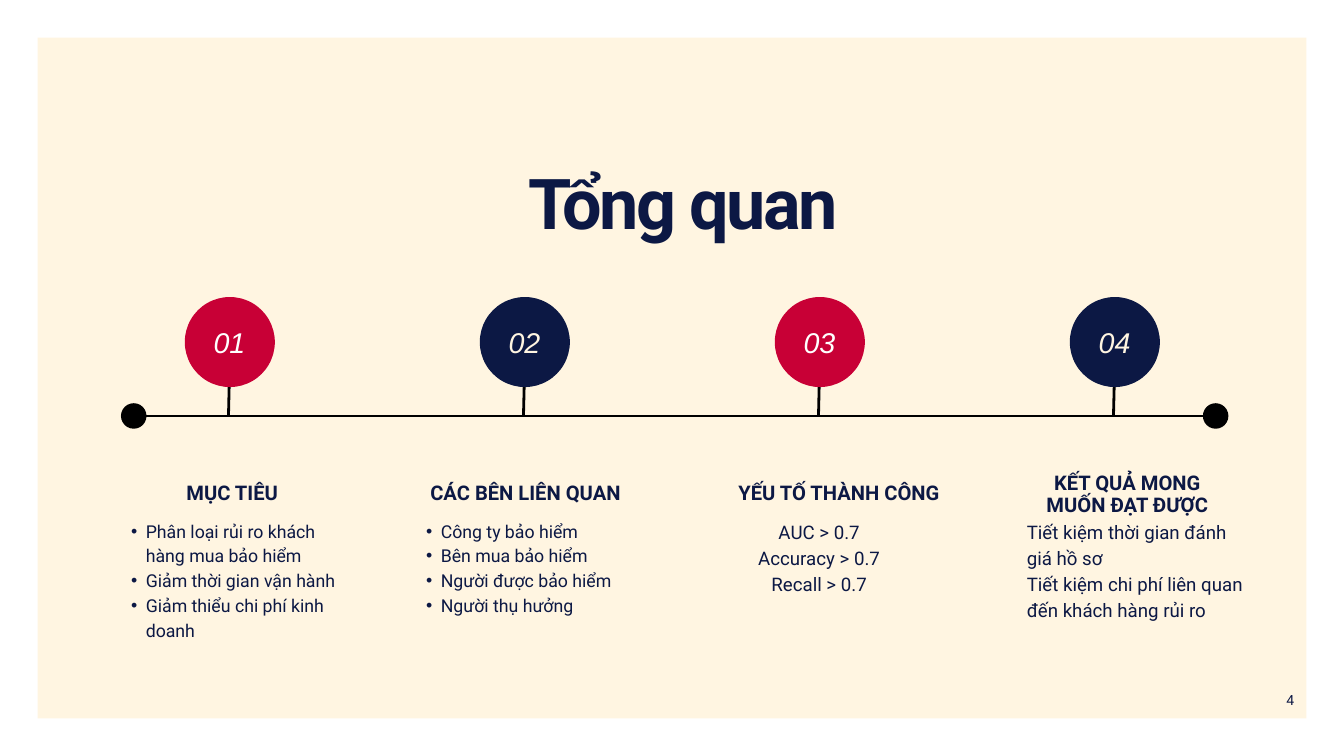
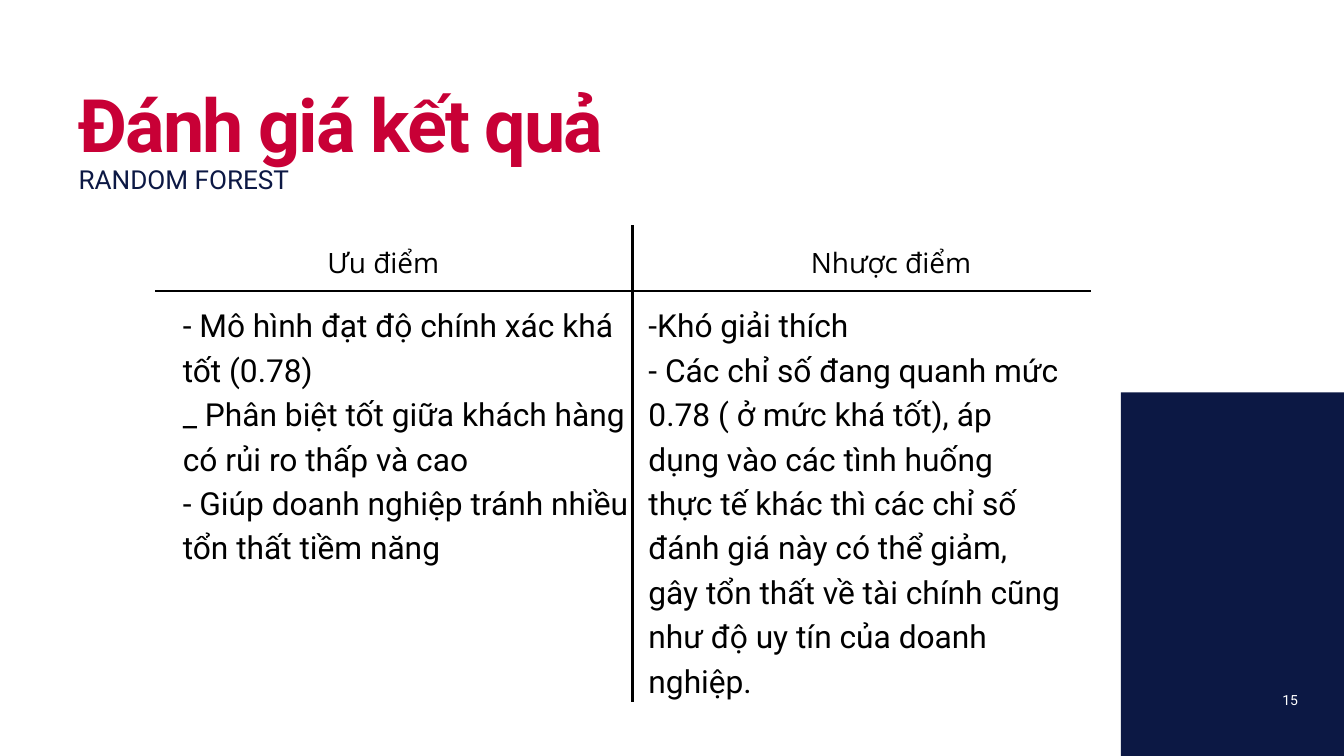
from dataclasses import dataclass

from lxml import etree
from pptx import Presentation
from pptx.dml.color import RGBColor
from pptx.enum.shapes import MSO_CONNECTOR, MSO_SHAPE
from pptx.enum.text import MSO_ANCHOR, MSO_AUTO_SIZE, PP_ALIGN
from pptx.oxml.ns import qn
from pptx.slide import Slide
from pptx.util import Inches, Length, Pt

LEFT, CENTER, JUSTIFY = PP_ALIGN.LEFT, PP_ALIGN.CENTER, PP_ALIGN.JUSTIFY
TOP, MIDDLE = MSO_ANCHOR.TOP, MSO_ANCHOR.MIDDLE
GROW, FIXED = MSO_AUTO_SIZE.SHAPE_TO_FIT_TEXT, MSO_AUTO_SIZE.NONE
RECTANGLE, OVAL = MSO_SHAPE.RECTANGLE, MSO_SHAPE.OVAL
STRAIGHT = MSO_CONNECTOR.STRAIGHT

NAVY, CRIMSON, CREAM = "0C1844", "C80036", "FFF5E1"
BLACK, WHITE = "000000", "FFFFFF"
BODY_FONT, NUMBER_FONT, COLUMN_FONT = "Roboto", "Arial", "Open Sans"

SLIDE_WIDTH, SLIDE_HEIGHT = Inches(20), Inches(11.25)
COLUMNS = 200
CELL = SLIDE_WIDTH / COLUMNS
ROWS = SLIDE_HEIGHT / CELL

STEP = 43.9
DISC = 13.4
DISC_TOP = 44.2
DISC_LEFT = 27.5
AXIS_ROW = 61.9
AXIS_START, AXIS_END = 19.9, 180.9
DOT = 3.8
TIGHT = 1.107


@dataclass(frozen=True)
class Box:
    """A place on the grid, in columns and rows."""

    left: float
    top: float
    width: float
    height: float


@dataclass(frozen=True)
class Milestone:
    """One numbered stop on the timeline."""

    number: str
    heading: str
    heading_box: Box
    details: tuple[str, ...]
    details_left: float
    size: float = 20
    align: PP_ALIGN = LEFT
    bulleted: bool = False


@dataclass(frozen=True)
class Verdict:
    """One column of the comparison."""

    heading: str
    heading_box: Box
    points: tuple[str, ...]
    points_box: Box


MILESTONES = (
    Milestone("01", "MỤC TIÊU", Box(21.7, 71.8, 25.7, 3.3),
              ("Phân loại rủi ro khách hàng mua bảo hiểm",
               "Giảm thời gian vận hành",
               "Giảm thiểu chi phí kinh doanh"),
              17.2, size=19, bulleted=True),
    Milestone("02", "CÁC BÊN LIÊN QUAN", Box(63.2, 71.8, 30, 3.3),
              ("Công ty bảo hiểm", "Bên mua bảo hiểm",
               "Người được bảo hiểm", "Người thụ hưởng"),
              61.1, size=19, bulleted=True),
    Milestone("03", "YẾU TỐ THÀNH CÔNG", Box(106.6, 71.8, 36.5, 3.3),
              ("AUC > 0.7", "Accuracy > 0.7", "Recall > 0.7"),
              104.9, align=CENTER),
    Milestone("04", "KẾT QUẢ MONG MUỐN ĐẠT ĐƯỢC", Box(152.8, 70.2, 29.9, 6.5),
              ("Tiết kiệm thời gian đánh giá hồ sơ",
               "Tiết kiệm chi phí liên quan đến khách hàng rủi ro"),
              152.8),
)

VERDICTS = (
    Verdict("Ưu điểm", Box(48.7, 35.7, 16.7, 5.4),
            ("- Mô hình đạt độ chính xác khá tốt (0.78)",
             "_ Phân biệt tốt giữa khách hàng có rủi ro thấp và cao",
             "- Giúp doanh nghiệp tránh nhiều tổn thất tiềm năng"),
            Box(27.2, 44.6, 66.9, 52.4)),
    Verdict("Nhược điểm", Box(118, 35.7, 29.2, 5.4),
            ("-Khó giải thích",
             "- Các chỉ số đang quanh mức 0.78 ( ở mức khá tốt), áp dụng vào "
             "các tình huống thực tế khác thì các chỉ số đánh giá này có thể "
             "giảm, gây tổn thất về tài chính cũng như độ uy tín của doanh "
             "nghiệp."),
            Box(96.5, 44.6, 61.8, 60)),
)


def grid(count: float) -> Length:
    """Turn a number of grid cells into a length."""
    return Length(round(count * CELL))


def color(value: str) -> RGBColor:
    """Turn a hex string into a colour."""
    return RGBColor.from_string(value)


def place(box: Box) -> tuple[Length, Length, Length, Length]:
    """Give the lengths of a grid box."""
    return grid(box.left), grid(box.top), grid(box.width), grid(box.height)


def add_text(slide: Slide, box: Box, *paragraphs: str, size: float,
             font: str = BODY_FONT, fill: str = NAVY, bold: bool = False,
             italic: bool = False, align: PP_ALIGN = LEFT,
             anchor: MSO_ANCHOR = TOP, fit: MSO_AUTO_SIZE = GROW,
             leading: float = 1.4, tracking: float = 0,
             bulleted: bool = False) -> None:
    """Write paragraphs in a borderless box."""
    frame = slide.shapes.add_textbox(*place(box)).text_frame
    frame.margin_left = frame.margin_right = 0
    frame.margin_top = frame.margin_bottom = 0
    frame.word_wrap = True
    frame.auto_size = fit
    frame.vertical_anchor = anchor
    for index, text in enumerate(paragraphs):
        paragraph = frame.add_paragraph() if index else frame.paragraphs[0]
        if bulleted:
            properties = paragraph._p.get_or_add_pPr()
            properties.set("marL", str(grid(4.5)))
            properties.set("indent", str(grid(-2.2)))
            etree.SubElement(properties, qn("a:buFont")).set("typeface", NUMBER_FONT)
            etree.SubElement(properties, qn("a:buChar")).set("char", "•")
        paragraph.alignment = align
        paragraph.line_spacing = Pt(round(size * leading, 1))
        run = paragraph.add_run()
        run.text = text
        run.font.size = Pt(size)
        run.font.name = font
        run.font.bold = bold
        run.font.italic = italic
        run.font.color.rgb = color(fill)
        if tracking:
            run._r.get_or_add_rPr().set("spc", str(round(tracking * 100)))


def add_block(slide: Slide, kind: MSO_SHAPE, box: Box, fill: str) -> None:
    """Draw a flat filled shape."""
    block = slide.shapes.add_shape(kind, *place(box))
    block.shadow.inherit = False
    block.fill.solid()
    block.fill.fore_color.rgb = color(fill)
    block.line.fill.background()


def add_rule(slide: Slide, left: float, top: float,
             right: float, bottom: float) -> None:
    """Draw a straight black line."""
    rule = slide.shapes.add_connector(
        STRAIGHT, grid(left), grid(top), grid(right), grid(bottom))
    rule.line.color.rgb = color(BLACK)
    rule.line.width = Pt(3)
    etree.SubElement(rule._element.spPr, qn("a:effectLst"))


def add_page_number(slide: Slide, number: str, fill: str) -> None:
    """Write the page number in its corner."""
    add_text(slide, Box(189.7, 101.1, 4.6, 5.7), number, size=15, fill=fill,
             align=CENTER, anchor=MIDDLE, fit=FIXED)


def add_title(slide: Slide, box: Box, text: str, size: float, fill: str,
              tracking: float, align: PP_ALIGN = LEFT) -> None:
    """Write the slide title."""
    add_text(slide, box, text, size=size, fill=fill, bold=True,
             tracking=tracking, align=align)


def add_milestone(slide: Slide, index: int, stop: Milestone) -> None:
    """Draw a numbered disc, its stem and its texts."""
    left = DISC_LEFT + index * STEP
    stem = left + DISC / 2 - 0.1
    odd = index % 2 == 0
    add_block(slide, OVAL, Box(left, DISC_TOP, DISC, DISC),
              CRIMSON if odd else NAVY)
    add_rule(slide, stem, DISC_TOP + DISC, stem - 0.1, AXIS_ROW)
    add_text(slide, Box(left + 1, 48.7, 11.3, 4.9), stop.number, size=30.6,
             font=NUMBER_FONT, fill=WHITE if odd else CREAM, italic=True,
             align=CENTER, leading=TIGHT)
    add_text(slide, stop.heading_box, stop.heading, size=21.6, bold=True,
             align=CENTER, leading=TIGHT)
    add_text(slide, Box(stop.details_left, 76.9, 34, 20), *stop.details,
             size=stop.size, align=stop.align, bulleted=stop.bulleted)


def build_overview(slide: Slide) -> None:
    """Build the timeline of goals and expected results."""
    margin = 5.6
    add_block(slide, RECTANGLE,
              Box(margin, margin, COLUMNS - 2 * margin, ROWS - 2 * margin), CREAM)
    add_page_number(slide, "4", NAVY)
    add_title(slide, Box(13.6, 21.6, 176.1, 14.2), "Tổng quan", 75.1, NAVY,
              -2.5, CENTER)
    add_rule(slide, AXIS_START, AXIS_ROW, AXIS_END, AXIS_ROW)
    for end in (AXIS_START, AXIS_END):
        add_block(slide, OVAL,
                  Box(end - DOT / 2, AXIS_ROW - DOT / 2, DOT, DOT), BLACK)
    for index, stop in enumerate(MILESTONES):
        add_milestone(slide, index, stop)


def build_evaluation(slide: Slide) -> None:
    """Build the comparison of strengths and weaknesses."""
    corner_left, corner_top = 166.8, 58.4
    add_block(slide, RECTANGLE,
              Box(corner_left, corner_top, COLUMNS - corner_left,
                  ROWS - corner_top), NAVY)
    add_page_number(slide, "15", WHITE)
    add_title(slide, Box(11.7, 9.6, 82.7, 14.8), "Đánh giá kết quả", 79,
              CRIMSON, -2)
    add_text(slide, Box(11.7, 23.5, 69.6, 5.5), "RANDOM FOREST", size=28,
             align=JUSTIFY)
    add_rule(slide, 94.1, 33.5, 94.1, 104.5)
    add_rule(slide, 23.1, 43.3, 162.3, 43.3)
    for verdict in VERDICTS:
        add_text(slide, verdict.heading_box, verdict.heading, size=30,
                 font=COLUMN_FONT, fill=BLACK, align=CENTER)
        add_text(slide, verdict.points_box, *verdict.points, size=34, fill=BLACK)


def main() -> None:
    """Build and save the presentation."""
    deck = Presentation()
    deck.slide_width, deck.slide_height = SLIDE_WIDTH, SLIDE_HEIGHT
    blank = deck.slide_layouts[6]
    for build in (build_overview, build_evaluation):
        build(deck.slides.add_slide(blank))
    deck.save("out.pptx")


if __name__ == "__main__":
    main()
